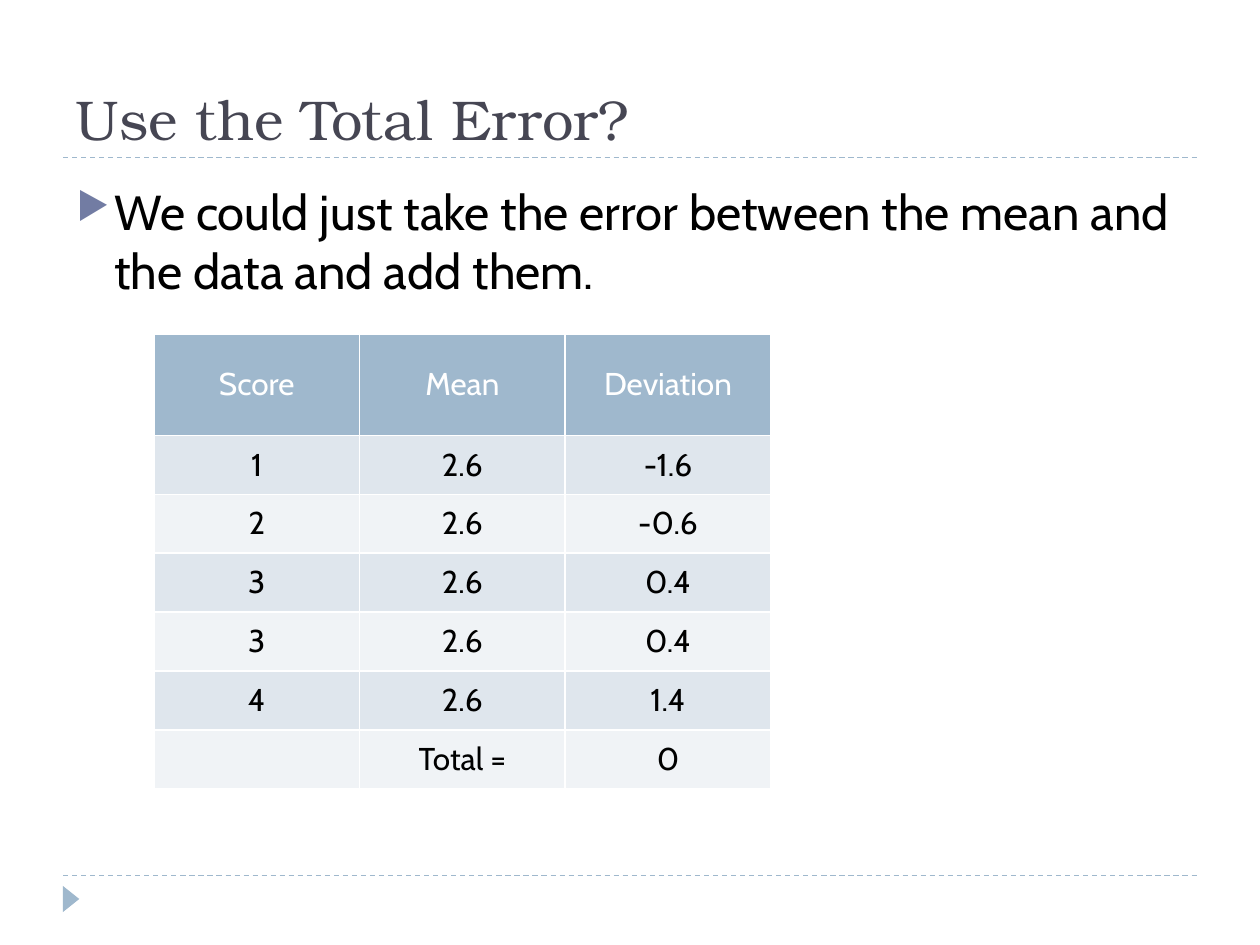
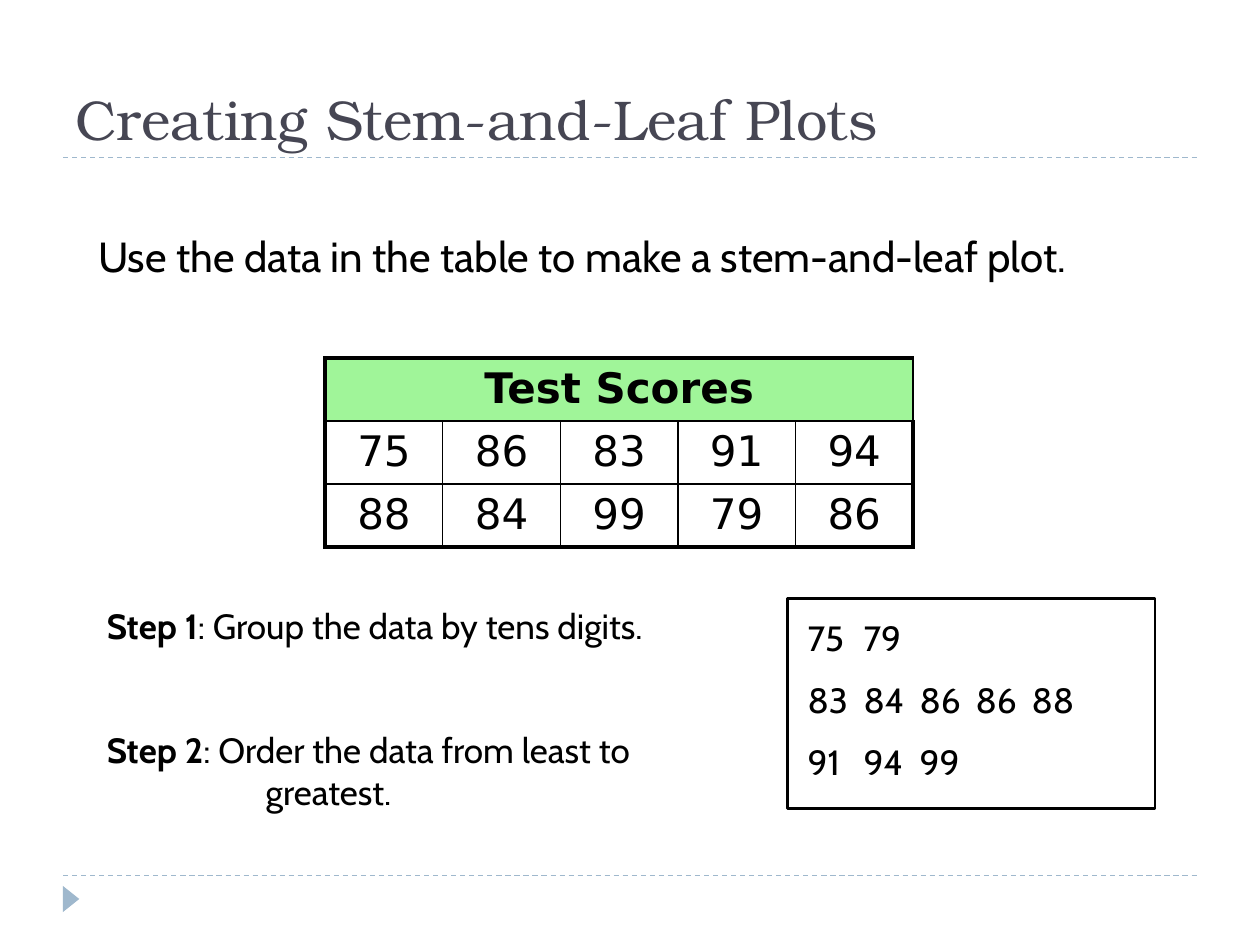
from collections import namedtuple

from lxml import etree
from pptx import Presentation
from pptx.dml.color import RGBColor
from pptx.enum import dml, shapes, text
from pptx.oxml import ns
from pptx.util import Pt

WHITE = RGBColor(0xFF, 0xFF, 0xFF)
BLACK = RGBColor(0x00, 0x00, 0x00)
TITLE_GREY = RGBColor(0x46, 0x46, 0x53)
STEEL = RGBColor(0x9F, 0xB8, 0xCD)
BULLET_BLUE = RGBColor(0x72, 0x7C, 0xA3)
BAND_DARK = RGBColor(0xDF, 0xE6, 0xED)
BAND_LIGHT = RGBColor(0xF0, 0xF3, 0xF6)
GREEN = RGBColor(0xA0, 0xF5, 0x99)

TITLE_FONT = "TeX Gyre Bonum"
BODY_FONT = "Cabin"
TABLE_FONT = "DejaVu Sans"

BLANK_LAYOUT = 6
SLIDE_SIZE = (720, 540)

Box = namedtuple("Box", "left top width height")
CellStyle = namedtuple("CellStyle", "fill color font size bold anchor")


def add_child(parent, tag, **attributes):
    return etree.SubElement(parent, ns.qn(tag), **attributes)


def add_run(paragraph, words, size, font=BODY_FONT, color=BLACK, bold=False):
    run = paragraph.add_run()
    run.text = words
    run.font.size = Pt(size)
    run.font.name = font
    run.font.color.rgb = color
    run.font.bold = bold


def add_text_box(slide, box, anchor=text.MSO_ANCHOR.TOP):
    """Add an empty wrapping text box and return its first paragraph."""
    shape = slide.shapes.add_textbox(*map(Pt, box))
    frame = shape.text_frame
    frame.word_wrap = True
    frame.vertical_anchor = anchor
    return frame.paragraphs[0]


def set_indent(paragraph, hang):
    properties = paragraph._p.get_or_add_pPr()
    properties.set("marL", str(Pt(hang)))
    properties.set("indent", str(-Pt(hang)))
    return properties


def add_rule(slide, left, top, width):
    rule = slide.shapes.add_connector(
        shapes.MSO_CONNECTOR.STRAIGHT, Pt(left), Pt(top), Pt(left + width), Pt(top))
    rule.line.color.rgb = STEEL
    rule.line.width = Pt(0.75)
    rule.line.dash_style = dml.MSO_LINE.DASH
    add_child(rule._element.spPr, "a:effectLst")


def add_framed_slide(presentation, title):
    """Add a slide with the shared title, dashed rules and corner marker."""
    slide = presentation.slides.add_slide(presentation.slide_layouts[BLANK_LAYOUT])
    frame = Box(36, 18, 648, 72)
    add_rule(slide, frame.left, 500.4, frame.width)
    add_rule(slide, frame.left, frame.top + frame.height, frame.width)
    marker = slide.shapes.add_shape(
        shapes.MSO_SHAPE.ISOSCELES_TRIANGLE, Pt(33.1), Pt(509), Pt(15), Pt(9.4))
    marker.rotation = 90
    marker.shadow.inherit = False
    marker.fill.solid()
    marker.fill.fore_color.rgb = STEEL
    marker.line.fill.background()
    add_run(add_text_box(slide, frame, text.MSO_ANCHOR.BOTTOM),
            title, 32, TITLE_FONT, TITLE_GREY)
    return slide


def set_borders(cell, color, widths):
    """Draw the left, right, top and bottom border, in that order."""
    properties = cell._tc.get_or_add_tcPr()
    for side, width in zip("LRTB", widths):
        line = add_child(properties, f"a:ln{side}", w=str(Pt(width)))
        fill = add_child(line, "a:solidFill")
        add_child(fill, "a:srgbClr", val=str(color))


def fill_cell(cell, words, style):
    cell.vertical_anchor = style.anchor
    if style.fill is None:
        cell.fill.background()
    else:
        cell.fill.solid()
        cell.fill.fore_color.rgb = style.fill
    if words:
        paragraph = cell.text_frame.paragraphs[0]
        paragraph.alignment = text.PP_ALIGN.CENTER
        add_run(paragraph, words, style.size, style.font, style.color, style.bold)


def add_grid(slide, box, rows, header_height, styles, border_color, outer, inner):
    """Add a table: styles[0] is for the header, the others alternate below it."""
    row_count, column_count = len(rows), len(rows[-1])
    table = slide.shapes.add_table(row_count, column_count, *map(Pt, box)).table
    table.first_row = table.horz_banding = False
    for column in table.columns:
        column.width = Pt(box.width / column_count)
    body_height = (box.height - header_height) / (row_count - 1)
    for i, row in enumerate(table.rows):
        row.height = Pt(body_height if i else header_height)
    bands = styles[1:]
    for i, values in enumerate(rows):
        style = bands[(i - 1) % len(bands)] if i else styles[0]
        for j in range(column_count):
            cell = table.cell(i, j)
            on_edge = (j == 0, j == column_count - 1, i == 0, i == row_count - 1)
            set_borders(cell, border_color, [outer if edge else inner for edge in on_edge])
            fill_cell(cell, values[j] if j < len(values) else "", style)
    return table


def add_bullet(slide, box, words):
    paragraph = add_text_box(slide, box)
    properties = set_indent(paragraph, 21.6)
    color = add_child(properties, "a:buClr")
    add_child(color, "a:srgbClr", val=str(BULLET_BLUE))
    add_child(properties, "a:buSzPct", val="76000")
    add_child(properties, "a:buChar", char="▶")
    add_run(paragraph, words, 28)


def add_deviation_table(slide, box):
    scores = [1, 2, 3, 3, 4]
    mean = sum(scores) / len(scores)
    rows = [["Score", "Mean", "Deviation"]]
    rows += [[str(score), f"{mean:.1f}", f"{score - mean:.1f}"] for score in scores]
    rows.append(["", "Total =", "0"])
    header = CellStyle(STEEL, WHITE, BODY_FONT, 18, False, text.MSO_ANCHOR.MIDDLE)
    dark = header._replace(fill=BAND_DARK, color=BLACK)
    light = dark._replace(fill=BAND_LIGHT)
    add_grid(slide, box, rows, 58, [header, dark, light], WHITE, 1, 1)


def add_test_scores(slide, box):
    rows = [["Test Scores"],
            ["75", "86", "83", "91", "94"],
            ["88", "84", "99", "79", "86"]]
    header = CellStyle(GREEN, BLACK, TABLE_FONT, 24, True, text.MSO_ANCHOR.TOP)
    body = header._replace(fill=None, bold=False)
    table = add_grid(slide, box, rows, box.height / 3, [header, body], BLACK, 2.25, 1)
    table.cell(0, 0).merge(table.cell(0, 4))


def add_steps(slide, box):
    steps = ["Group the data by tens digits.",
             "Order the data from least to greatest."]
    pitch = box.height / len(steps)
    for i, step in enumerate(steps):
        paragraph = add_text_box(
            slide, Box(box.left, box.top + i * pitch, box.width, 55))
        set_indent(paragraph, 90.7)
        add_run(paragraph, f"Step {i + 1}", 20, bold=True)
        add_run(paragraph, f": {step}", 20)


def add_grouped_scores(slide, box):
    """Add the outlined panel with one line of scores per tens digit."""
    panel = slide.shapes.add_shape(shapes.MSO_SHAPE.RECTANGLE, *map(Pt, box))
    panel.shadow.inherit = False
    panel.fill.background()
    panel.line.color.rgb = BLACK
    panel.line.width = Pt(1.25)
    groups = [(75, 79), (83, 84, 86, 86, 88), (91, 94, 99)]
    for i, group in enumerate(groups):
        paragraph = add_text_box(
            slide, Box(box.left + 4.4, box.top + 6.5 + i * 35.6, box.width - 12, 31))
        stops = add_child(paragraph._p.get_or_add_pPr(), "a:tabLst")
        for k in range(1, len(group)):
            add_child(stops, "a:tab", pos=str(Pt(32 * k)), algn="l")
        add_run(paragraph, "\t".join(map(str, group)), 20)


def build_total_error(presentation):
    slide = add_framed_slide(presentation, "Use the Total Error?")
    add_bullet(slide, Box(36.7, 100, 680, 97),
               "We could just take the error between the mean and the data and add them.")
    add_deviation_table(slide, Box(88, 190.8, 352.5, 260))


def build_stem_and_leaf(presentation):
    slide = add_framed_slide(presentation, "Creating Stem-and-Leaf Plots")
    add_run(add_text_box(slide, Box(49, 128.2, 654, 36)),
            "Use the data in the table to make a stem-and-leaf plot.", 24)
    add_test_scores(slide, Box(185.8, 204.5, 336, 108))
    add_steps(slide, Box(54, 342, 366, 141))
    add_grouped_scores(slide, Box(450, 342, 210, 120))


def main():
    presentation = Presentation()
    presentation.slide_width, presentation.slide_height = map(Pt, SLIDE_SIZE)
    build_total_error(presentation)
    build_stem_and_leaf(presentation)
    presentation.save("out.pptx")


if __name__ == "__main__":
    main()
